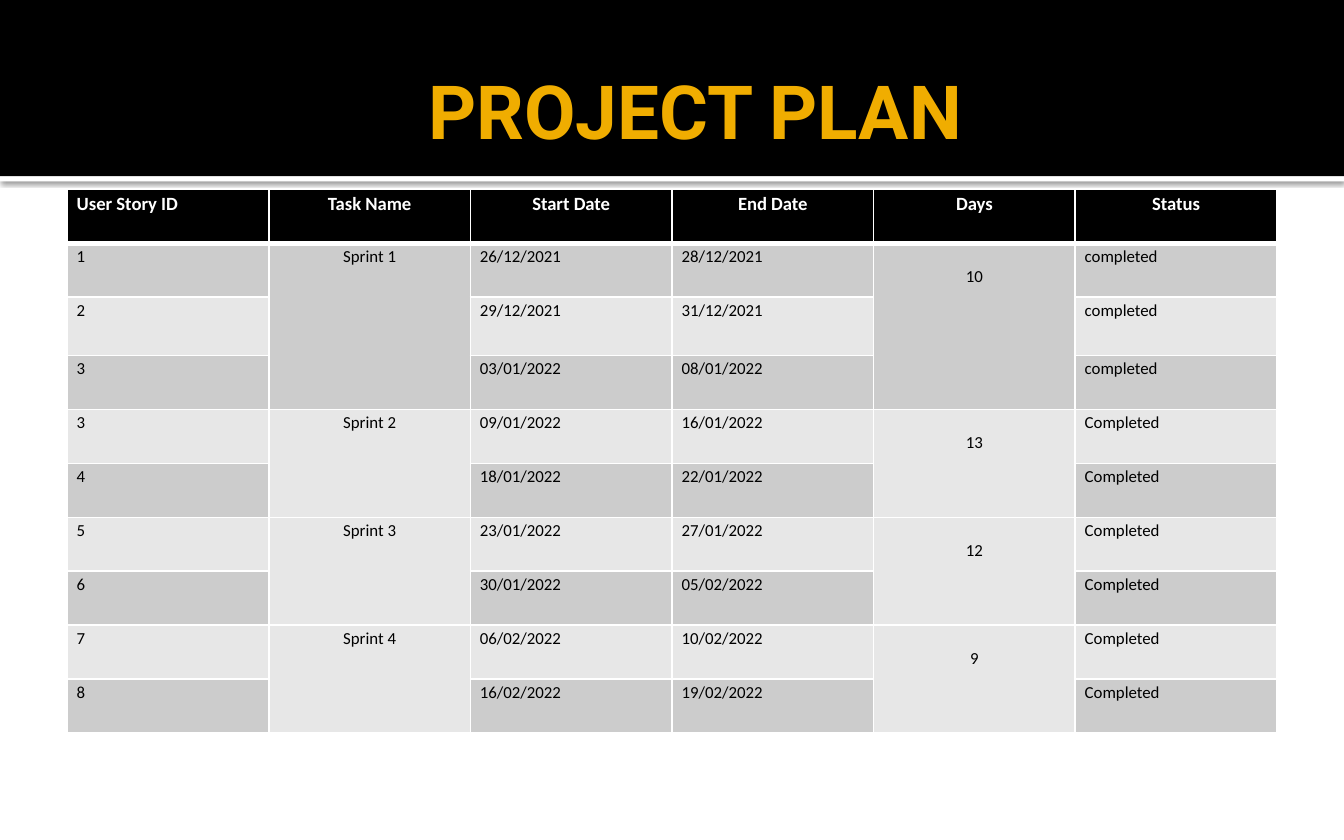
"""Build the project plan slide: a dark title band over a sprint table."""
from lxml import etree
from pptx import Presentation
from pptx.dml.color import RGBColor
from pptx.enum.shapes import MSO_SHAPE
from pptx.enum.text import MSO_ANCHOR, PP_ALIGN
from pptx.oxml import parse_xml
from pptx.oxml.ns import qn
from pptx.util import Cm, Pt

RECT = MSO_SHAPE.RECTANGLE
LEFT, MID = PP_ALIGN.LEFT, PP_ALIGN.CENTER
MIDDLE = MSO_ANCHOR.MIDDLE

TITLE = "PROJECT PLAN"
HEADS = ["User Story ID", "Task Name", "Start Date", "End Date", "Days", "Status"]
SPRINTS = [
    ("Sprint 1", "10", "completed", [
        ("1", "26/12/2021", "28/12/2021"),
        ("2", "29/12/2021", "31/12/2021"),
        ("3", "03/01/2022", "08/01/2022")]),
    ("Sprint 2", "13", "Completed", [
        ("3", "09/01/2022", "16/01/2022"),
        ("4", "18/01/2022", "22/01/2022")]),
    ("Sprint 3", "12", "Completed", [
        ("5", "23/01/2022", "27/01/2022"),
        ("6", "30/01/2022", "05/02/2022")]),
    ("Sprint 4", "9", "Completed", [
        ("7", "06/02/2022", "10/02/2022"),
        ("8", "16/02/2022", "19/02/2022")]),
]
COLORS = {"black": "000000", "white": "FFFFFF", "gold": "F0AD00",
          "dark": "CCCCCC", "light": "E7E7E7"}
TASK, DAYS = 1, 4
WIDE, HIGH = Cm(25.4), Cm(15.88)
BAND, RULE = Cm(3.33), Cm(0.1)
ROW, TALL = Cm(1.02), Cm(1.1)
PAD, DROP = Cm(0.18), Cm(0.38)
SHADOW = (
    '<a:effectLst xmlns:a="http://schemas.openxmlformats.org/drawingml/2006/main">'
    '<a:outerShdw blurRad="31750" dist="10160" dir="5400000" rotWithShape="0">'
    '<a:srgbClr val="000000"><a:alpha val="60000"/></a:srgbClr>'
    '</a:outerShdw></a:effectLst>')


def color(name):
    """Return the named colour."""
    return RGBColor.from_string(COLORS[name])


def add_bar(slide, top, height, fill):
    """Add a full-width bar without outline or shadow."""
    bar = slide.shapes.add_shape(RECT, 0, top, WIDE, height)
    bar.shadow.inherit = False
    bar.fill.solid()
    bar.fill.fore_color.rgb = color(fill)
    bar.line.fill.background()
    return bar


def set_font(para, face, size, ink, bold):
    """Set the font of a paragraph."""
    font = para.font
    font.name, font.size, font.bold = face, Pt(size), bold
    font.color.rgb = color(ink)


def add_lines(cell, top, bottom):
    """Draw white borders around a cell."""
    props = cell._tc.get_or_add_tcPr()
    for side, width in (("L", 1), ("R", 1), ("T", top), ("B", bottom)):
        line = etree.SubElement(props, qn(f"a:ln{side}"), w=str(Pt(width)))
        fill = etree.SubElement(line, qn("a:solidFill"))
        etree.SubElement(fill, qn("a:srgbClr"), val=COLORS["white"])


def style_cell(cell, row, col):
    """Format a cell according to its place in the table."""
    head = row == 0
    add_lines(cell, 3 if row == 1 else 1, 3 if head else 1)
    cell.fill.solid()
    cell.fill.fore_color.rgb = color(
        "black" if head else "dark" if row % 2 else "light")
    cell.margin_left = cell.margin_right = PAD
    cell.margin_top = DROP if col == DAYS and not head else 0
    cell.margin_bottom = 0
    para = cell.text_frame.paragraphs[0]
    para.line_spacing = 1.15
    para.alignment = MID if col in (TASK, DAYS) or (head and col) else LEFT
    set_font(para, "Calibri", 10 if head else 9, "white" if head else "black", head)


def add_title(slide):
    """Place the title on top of the band."""
    title = slide.shapes.title
    slide.shapes._spTree.append(title._element)
    title.left, title.top, title.width, title.height = map(Cm, (1.27, 1.19, 22.86, 1.78))
    frame = title.text_frame
    frame.text = TITLE
    frame.vertical_anchor = MIDDLE
    frame.margin_left = Cm(6.83)
    frame.margin_right = frame.margin_top = frame.margin_bottom = Cm(0.13)
    para = frame.paragraphs[0]
    para.alignment = LEFT
    set_font(para, "Roboto", 40, "gold", True)


def add_plan(slide):
    """Add the table, merging task and days over each sprint."""
    rows = [HEADS]
    spans = []
    for name, days, state, tasks in SPRINTS:
        spans.append((len(rows), len(rows) + len(tasks) - 1))
        for num, (story, start, end) in enumerate(tasks):
            task, total = ("", "") if num else (name, days)
            rows.append([story, task, start, end, total, state])
    high = ROW * (len(rows) - 1) + TALL
    table = slide.shapes.add_table(
        len(rows), len(HEADS), Cm(1.27), Cm(3.58), Cm(22.86), high).table
    table.first_row = table.horz_banding = False
    for row, words in enumerate(rows):
        table.rows[row].height = TALL if row == 2 else ROW
        for col, text in enumerate(words):
            cell = table.cell(row, col)
            cell.text = text
            style_cell(cell, row, col)
    for first, last in spans:
        for col in (TASK, DAYS):
            table.cell(first, col).merge(table.cell(last, col))


def main():
    """Build and save the slide."""
    deck = Presentation()
    deck.slide_width, deck.slide_height = WIDE, HIGH
    slide = deck.slides.add_slide(deck.slide_layouts[5])
    rule = add_bar(slide, BAND, RULE, "white")
    props = rule._element.spPr
    props.replace(props.find(qn("a:effectLst")), parse_xml(SHADOW))
    add_bar(slide, 0, BAND, "black")
    add_title(slide)
    add_plan(slide)
    deck.save("out.pptx")


if __name__ == "__main__":
    main()
